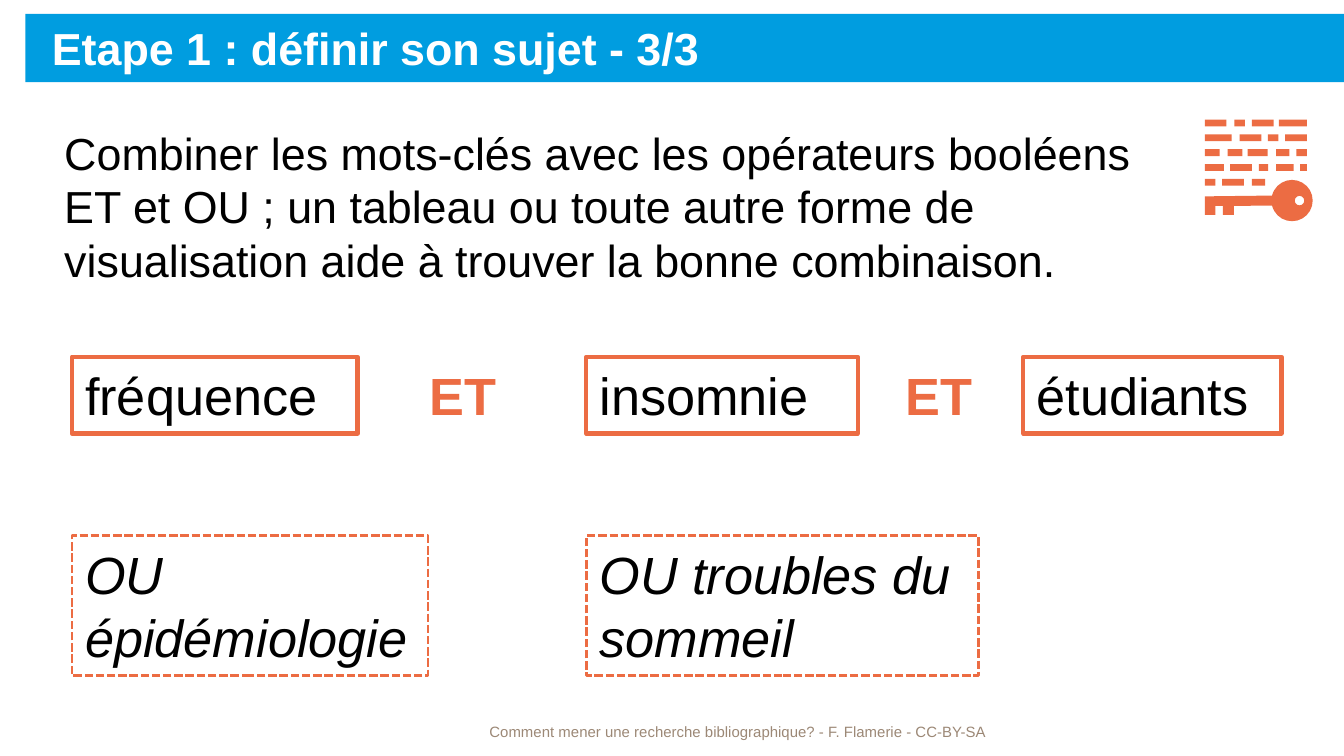
"""Build the slide on combining keywords with boolean operators."""
from math import cos, radians, sin
from typing import NamedTuple, Optional

from lxml.etree import SubElement
from pptx import Presentation
from pptx.dml.color import RGBColor
from pptx.enum.dml import MSO_LINE
from pptx.enum.shapes import MSO_SHAPE
from pptx.enum.text import MSO_ANCHOR, MSO_AUTO_SIZE, PP_ALIGN
from pptx.oxml.ns import qn
from pptx.util import Cm, Pt

COLORS = {"blue": "009DE0", "orange": "EC6C43", "taupe": "9C8876",
          "black": "000000", "white": "FFFFFF"}
ROW, HIGH = 6.74, 1.45
LOW, TALL = 10.12, 2.64


class Label(NamedTuple):
    text: str
    left: float
    top: float
    width: float
    height: float
    size: int = 28
    color: str = "black"
    bold: bool = False
    slant: bool = False
    line: Optional[float] = None


LABELS = [
    Label("Comment mener une recherche bibliographique? - F. Flamerie - CC-BY-SA",
          9, 13.53, 10.34, 0.76, 8, "taupe"),
    Label("fréquence", 1.36, ROW, 5.4, HIGH, line=2.25),
    Label("insomnie", 11.08, ROW, 5.13, HIGH, line=2.25),
    Label("étudiants", 19.34, ROW, 4.88, HIGH, line=2.25),
    Label("OU épidémiologie", 1.36, LOW, 6.73, TALL, slant=True, line=1.5),
    Label("OU troubles du sommeil", 11.08, LOW, 7.41, TALL, slant=True, line=1.5),
    Label("ET", 7.87, ROW, 2.77, HIGH, color="orange", bold=True),
    Label("ET", 16.87, ROW, 2.77, HIGH, color="orange", bold=True),
]

ICON_X, ICON_Y = 22.77, 2.26
PITCH, THICK = 0.28, 0.13
DASHES = [
    [(0, 0.41), (0.56, 0.2), (0.89, 0.41), (1.4, 0.53)],
    [(0, 0.51), (0.66, 0.41), (1.19, 0.2), (1.52, 0.41)],
    [(0, 0.28), (0.43, 0.28), (0.81, 0.38), (1.35, 0.25), (1.73, 0.2)],
    [(0, 0.36), (0.48, 0.41), (1.02, 0.18), (1.35, 0.33), (1.8, 0.13)],
    [(0, 0.2), (0.33, 0.41), (0.89, 0.25)],
]
TEETH = [(23.32, 3.89), (23.32, 4.06), (23.11, 4.06), (23.11, 3.89),
         (22.97, 3.89), (22.97, 4.06), (22.77, 4.06)]
HEAD, HOLE = 0.39, 0.09
BOW = [194, 270, 360, 450, 526]
RING = [0, 90, 180, 270, 360]


def rgb(name: str) -> RGBColor:
    return RGBColor.from_string(COLORS[name])


def place(shape, left: float, top: float, width: float, height: float) -> None:
    shape.left, shape.top = Cm(left), Cm(top)
    shape.width, shape.height = Cm(width), Cm(height)


def write(shape, text: str, size: int, color: str, bold: bool = False,
          slant: bool = False, anchor=MSO_ANCHOR.TOP):
    frame = shape.text_frame
    frame.text = text
    frame.word_wrap = True
    frame.auto_size = MSO_AUTO_SIZE.NONE
    frame.vertical_anchor = anchor
    para = frame.paragraphs[0]
    para.alignment = PP_ALIGN.LEFT
    font = para.font
    font.name, font.size = "Arial", Pt(size)
    font.bold, font.italic = bold, slant
    font.color.rgb = rgb(color)
    return para


def paint(shape, color: str) -> None:
    shape.shadow.inherit = False
    shape.fill.solid()
    shape.fill.fore_color.rgb = rgb(color)
    shape.line.fill.background()


def add_label(shapes, label: Label) -> None:
    area = [Cm(v) for v in label[1:5]]
    if label.line:
        shape = shapes.add_shape(MSO_SHAPE.RECTANGLE, *area)
        shape.shadow.inherit = False
        shape.fill.background()
        shape.line.color.rgb = rgb("orange")
        shape.line.width = Pt(label.line)
        if label.slant:
            shape.line.dash_style = MSO_LINE.SQUARE_DOT
    else:
        shape = shapes.add_textbox(*area)
    write(shape, label.text, label.size, label.color, label.bold, label.slant)


def orbit(x: float, y: float, radius: float, turns: list) -> list:
    return [(x + radius * cos(radians(a)), y + radius * sin(radians(a)))
            for a in turns]


def bend(route, first: int, radius: float, turns: list) -> None:
    """Turn the straight segments from index first into circular arcs."""
    for index, (start, end) in enumerate(zip(turns, turns[1:]), first):
        curve = SubElement(route, qn("a:arcTo"), wR=str(Cm(radius)),
                           hR=str(Cm(radius)), stAng=str(start % 360 * 60000),
                           swAng=str((end - start) * 60000))
        route.replace(route[index], curve)


def add_key(shapes) -> None:
    edge = [(ICON_X, 3.71), *orbit(24.42, 3.79, HEAD, BOW), *TEETH]
    ring = orbit(24.56, 3.79, HOLE, RING)
    edge, ring = [[(Cm(x), Cm(y)) for x, y in line] for line in (edge, ring)]
    pen = shapes.build_freeform(*edge[0])
    pen.add_line_segments(edge[1:])
    pen.move_to(*ring[0])
    pen.add_line_segments(ring[1:])
    key = pen.convert_to_shape()
    route = next(key._element.iter(qn("a:path")))
    bend(route, 2, HEAD, BOW)
    bend(route, len(edge) + 2, HOLE, RING)
    paint(key, "orange")


def add_icon(shapes) -> None:
    group = shapes.add_group_shape().shapes
    for row, dashes in enumerate(DASHES):
        for left, width in dashes:
            dash = group.add_shape(
                MSO_SHAPE.RECTANGLE, Cm(ICON_X + left), Cm(ICON_Y + row * PITCH),
                Cm(width), Cm(THICK))
            paint(dash, "orange")
    add_key(group)


def main() -> None:
    deck = Presentation()
    deck.slide_width, deck.slide_height = Cm(25.4), Cm(14.28)
    slide = deck.slides.add_slide(deck.slide_layouts[1])
    shapes = slide.shapes

    title = shapes.title
    place(title, 0.48, 0.26, 24.94, 1.29)
    paint(title, "blue")
    write(title, "Etape 1 : définir son sujet - 3/3", 24, "white", bold=True,
          anchor=MSO_ANCHOR.MIDDLE)
    title.text_frame.margin_left = title.text_frame.margin_right = Cm(0.5)

    body = slide.placeholders[1]
    place(body, 0.78, 2.24, 22.07, 8.97)
    para = write(body, "Combiner les mots-clés avec les opérateurs booléens ET et OU ; "
                 "un tableau ou toute autre forme de visualisation aide à trouver "
                 "la bonne combinaison.", 24, "black")
    para.space_before = Pt(6)
    props = para._p.get_or_add_pPr()
    props.set("marL", str(Cm(0.18)))
    props.set("indent", "0")
    bullet = SubElement(props, qn("a:buNone"))
    props.find(qn("a:defRPr")).addprevious(bullet)

    for label in LABELS:
        add_label(shapes, label)
    add_icon(shapes)
    deck.save("out.pptx")


if __name__ == "__main__":
    main()
